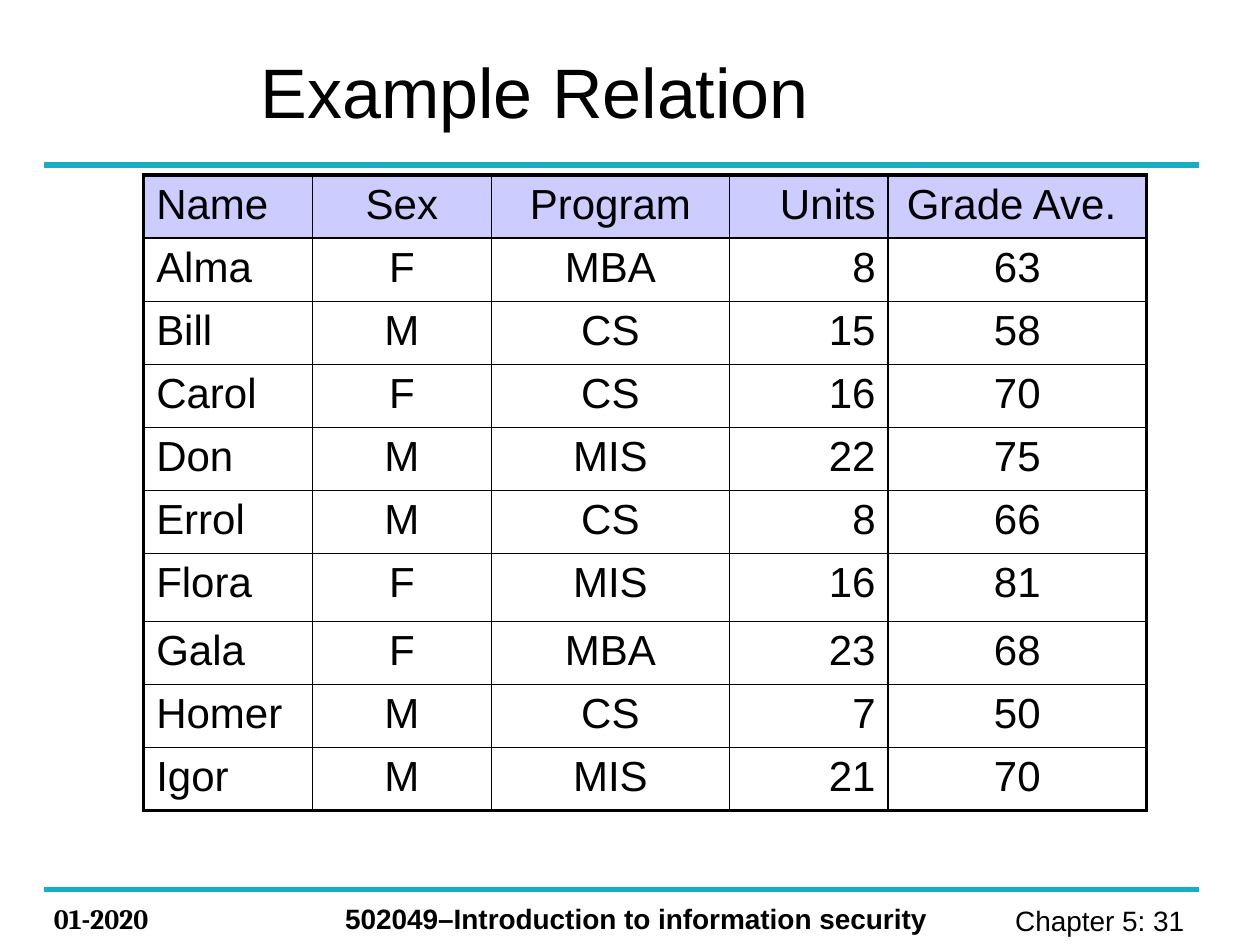
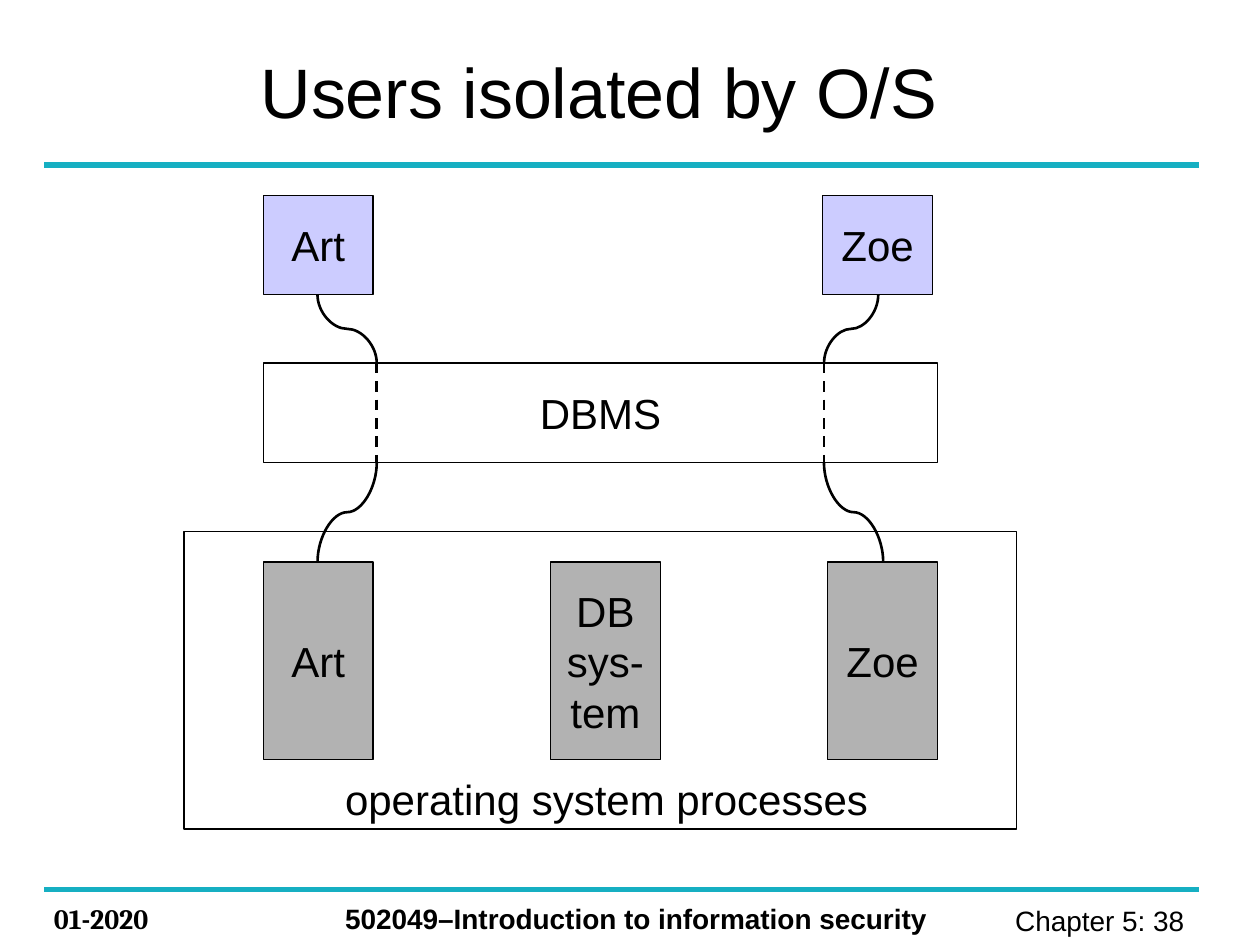
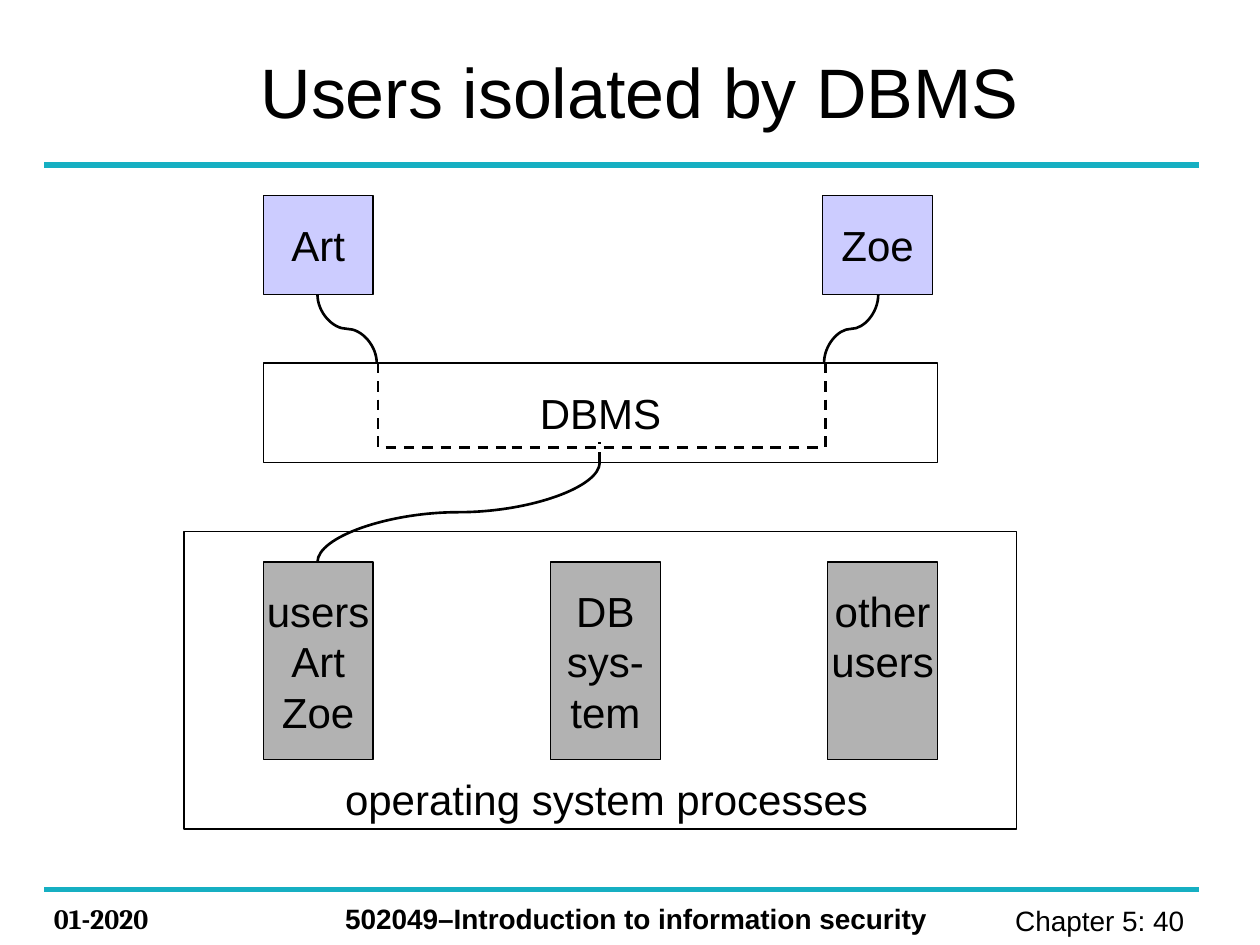
from dataclasses import dataclass

from lxml import etree
from pptx import Presentation
from pptx import util as u
from pptx.dml.color import RGBColor
from pptx.enum import dml, shapes, text
from pptx.oxml.ns import qn


@dataclass(frozen=True)
class Theme:
    ink: str = "000000"
    rule: str = "16AFC2"
    lilac: str = "CCCCFF"
    grey: str = "B2B2B2"
    font: str = "Arial"
    date_font: str = "Cambria"
    title_size: int = 40
    body_size: int = 24
    footer_size: int = 16
    rule_width: float = 3
    box_line: float = 0.75
    link_line: float = 1.5
    frame_line: float = 2.25
    grid_line: float = 1


THEME = Theme()
LEFT, CENTER, RIGHT = text.PP_ALIGN.LEFT, text.PP_ALIGN.CENTER, text.PP_ALIGN.RIGHT

DATE = "01-2020"
COURSE = "502049–Introduction to information security"
RULE_SPAN = (0.35, 9.52)
RULE_HEIGHTS = (1.31, 7.06)

STUDENTS = [
    ("Name", "Sex", "Program", "Units", "Grade Ave. "),
    ("Alma", "F", "MBA", "8", "63"),
    ("Bill", "M", "CS", "15", "58"),
    ("Carol", "F", "CS", "16", "70"),
    ("Don", "M", "MIS", "22", "75"),
    ("Errol", "M", "CS", "8", "66"),
    ("Flora", "F", "MIS", "16", "81"),
    ("Gala", "F", "MBA", "23", "68"),
    ("Homer", "M", "CS", "7", "50"),
    ("Igor", "M", "MIS", "21", "70"),
]
COLUMN_WIDTHS = (1.34, 1.42, 1.89, 1.26, 2.05)
COLUMN_ALIGN = (LEFT, CENTER, CENTER, RIGHT, CENTER)
ROW_HEIGHTS = (0.5, 0.49, 0.5, 0.5, 0.5, 0.49, 0.54, 0.5, 0.49, 0.5)

USERS = [("Art", 2.09), ("Zoe", 6.53)]
PROCESS_LEFTS = (2.09, 4.37, 6.57)
DB_SYSTEM = ["DB", "sys-", "tem"]
BOX_WIDTH = 0.87
USER_TOP, USER_HEIGHT = 1.55, 0.79
PROCESS_TOP, PROCESS_HEIGHT = 4.46, 1.57
DBMS_TOP, DBMS_BOTTOM = 2.88, 3.67
USER_EXIT = USER_TOP + USER_HEIGHT
ART_X, ART_PORT = 2.52, 2.99
ZOE_X, ZOE_PORT, ZOE_PROCESS_X = 6.97, 6.54, 7.01
SHARED_X, SHARED_Y, SHARED_SPAN = 4.76, 3.55, (4.06, 5.47)


def inches(*lengths):
    return [u.Inches(length) for length in lengths]


def color(value):
    return RGBColor.from_string(value)


def write(frame, lines, size=THEME.body_size, align=LEFT, font=THEME.font, bold=False):
    frame.text = "\n".join(lines)
    for paragraph in frame.paragraphs:
        paragraph.alignment = align
        paragraph.font.size = u.Pt(size)
        paragraph.font.name = font
        paragraph.font.bold = bold
        paragraph.font.color.rgb = color(THEME.ink)


def label(slide, place, words, wrap=True, anchor=text.MSO_ANCHOR.TOP, **style):
    frame = slide.shapes.add_textbox(*inches(*place)).text_frame
    frame.word_wrap = wrap
    frame.vertical_anchor = anchor
    write(frame, [words], **style)


def box(slide, place, lines=(), fill=None, lift=0):
    """Draw an outlined box; lift is extra room kept free below its text."""
    shape = slide.shapes.add_shape(shapes.MSO_SHAPE.RECTANGLE, *inches(*place))
    shape.shadow.inherit = False
    if fill:
        shape.fill.solid()
        shape.fill.fore_color.rgb = color(fill)
    else:
        shape.fill.background()
    shape.line.color.rgb = color(THEME.ink)
    shape.line.width = u.Pt(THEME.box_line)
    if lines:
        frame = shape.text_frame
        frame.word_wrap = False
        frame.vertical_anchor = text.MSO_ANCHOR.MIDDLE
        frame.margin_bottom = u.Inches(0.05 + lift)
        write(frame, lines, align=CENTER)


def link(slide, start, end, kind=shapes.MSO_CONNECTOR.STRAIGHT,
         ink=THEME.ink, width=THEME.link_line, dashed=False):
    connector = slide.shapes.add_connector(kind, *inches(*start, *end))
    connector.line.color.rgb = color(ink)
    connector.line.width = u.Pt(width)
    if dashed:
        connector.line.dash_style = dml.MSO_LINE.DASH
    etree.SubElement(connector._element.spPr, qn("a:effectLst"))
    return connector


def drop(slide, top, bottom, bent=False):
    """Link two points, leaving the upper one straight down."""
    (x1, y1), (x2, y2) = top, bottom
    length, breadth = y2 - y1, abs(x2 - x1)
    left, upper = (x1 + x2 - length) / 2, (y1 + y2 - breadth) / 2
    kind = shapes.MSO_CONNECTOR.ELBOW if bent else shapes.MSO_CONNECTOR.CURVE
    connector = link(slide, (left, upper), (left + length, upper + breadth), kind, dashed=bent)
    properties = connector._element.spPr
    frame = properties.find(qn("a:xfrm"))
    if x2 > x1:
        frame.set("rot", str(270 * 60000))
        frame.set("flipH", "1")
    else:
        frame.set("rot", str(90 * 60000))
    if bent:
        properties.find(qn("a:prstGeom")).set("prst", "bentConnector2")


def start_slide(deck, title, number):
    slide = deck.slides.add_slide(deck.slide_layouts[6])
    for y in RULE_HEIGHTS:
        link(slide, (RULE_SPAN[0], y), (RULE_SPAN[1], y), ink=THEME.rule, width=THEME.rule_width)
    size = THEME.footer_size
    label(slide, (7.36, 7.12, 2.2, 0.37), f"Chapter 5: {number} ", size=size, align=RIGHT)
    label(slide, (0.33, 7.11, 1.33, 0.37), DATE, size=size, font=THEME.date_font, bold=True)
    label(slide, (2.64, 7.11, 5.04, 0.37), COURSE, size=size, bold=True)
    label(slide, (1.97, 0.28, 8.03, 0.87), title, size=THEME.title_size,
          anchor=text.MSO_ANCHOR.MIDDLE)
    return slide


def set_border(cell, side, width):
    edge = etree.SubElement(cell._tc.get_or_add_tcPr(), qn(f"a:ln{side}"), w=str(u.Pt(width)))
    fill = etree.SubElement(edge, qn("a:solidFill"))
    etree.SubElement(fill, qn("a:srgbClr"), val=THEME.ink)


def student_table(slide):
    rows, columns = len(STUDENTS), len(COLUMN_WIDTHS)
    place = inches(1.14, 1.39, sum(COLUMN_WIDTHS), sum(ROW_HEIGHTS))
    table = slide.shapes.add_table(rows, columns, *place).table
    table.first_row = table.horz_banding = False
    for column, width in zip(table.columns, COLUMN_WIDTHS):
        column.width = u.Inches(width)
    for row, height in zip(table.rows, ROW_HEIGHTS):
        row.height = u.Inches(height)
    for r, student in enumerate(STUDENTS):
        for c, value in enumerate(student):
            cell = table.cell(r, c)
            write(cell.text_frame, [value], align=COLUMN_ALIGN[c])
            outer = {"L": c == 0, "R": c == columns - 1, "T": r == 0, "B": r == rows - 1}
            for side, on_frame in outer.items():
                set_border(cell, side, THEME.frame_line if on_frame else THEME.grid_line)
            if r == 0:
                cell.fill.solid()
                cell.fill.fore_color.rgb = color(THEME.lilac)
            else:
                cell.fill.background()


def isolation_diagram(slide, processes):
    """Draw what both isolation slides share; processes pairs lines with a lift."""
    box(slide, (1.46, 4.22, 6.61, 2.36))
    for name, left in USERS:
        box(slide, (left, USER_TOP, BOX_WIDTH, USER_HEIGHT), [name], THEME.lilac)
    for (lines, lift), left in zip(processes, PROCESS_LEFTS):
        box(slide, (left, PROCESS_TOP, BOX_WIDTH, PROCESS_HEIGHT), lines, THEME.grey, lift)
    box(slide, (2.09, DBMS_TOP, 5.35, DBMS_BOTTOM - DBMS_TOP), ["DBMS"])
    label(slide, (2.64, 6.09, 4.35, 0.5), "operating system processes", wrap=False)
    drop(slide, (ART_X, USER_EXIT), (ART_PORT, DBMS_TOP))
    drop(slide, (ZOE_X, USER_EXIT), (ZOE_PORT, DBMS_TOP))


def separate_paths(slide):
    for port, process_x in ((ART_PORT, ART_X), (ZOE_PORT, ZOE_PROCESS_X)):
        link(slide, (port, DBMS_TOP), (port, DBMS_BOTTOM), dashed=True)
        drop(slide, (port, DBMS_BOTTOM), (process_x, PROCESS_TOP))


def shared_path(slide):
    for port, inner in zip((ART_PORT + 0.01, ZOE_PORT + 0.01), SHARED_SPAN):
        drop(slide, (port, DBMS_TOP), (inner, SHARED_Y), bent=True)
    link(slide, (SHARED_SPAN[0], SHARED_Y), (SHARED_SPAN[1], SHARED_Y), dashed=True)
    drop(slide, (SHARED_X, DBMS_BOTTOM), (ART_X, PROCESS_TOP))
    link(slide, (SHARED_X, DBMS_BOTTOM), (SHARED_X, 3.51), dashed=True)


def main():
    deck = Presentation()
    deck.slide_width, deck.slide_height = inches(10, 7.5)

    student_table(start_slide(deck, "Example Relation", 31))

    by_system = start_slide(deck, "Users isolated by O/S", 38)
    isolation_diagram(by_system, [(["Art"], 0), (DB_SYSTEM, 0), (["Zoe"], 0)])
    separate_paths(by_system)

    by_dbms = start_slide(deck, "Users isolated by DBMS", 40)
    isolation_diagram(
        by_dbms, [(["users", "Art", "Zoe"], 0), (DB_SYSTEM, 0), (["other", "users"], 0.4)])
    shared_path(by_dbms)

    deck.save("out.pptx")


if __name__ == "__main__":
    main()
